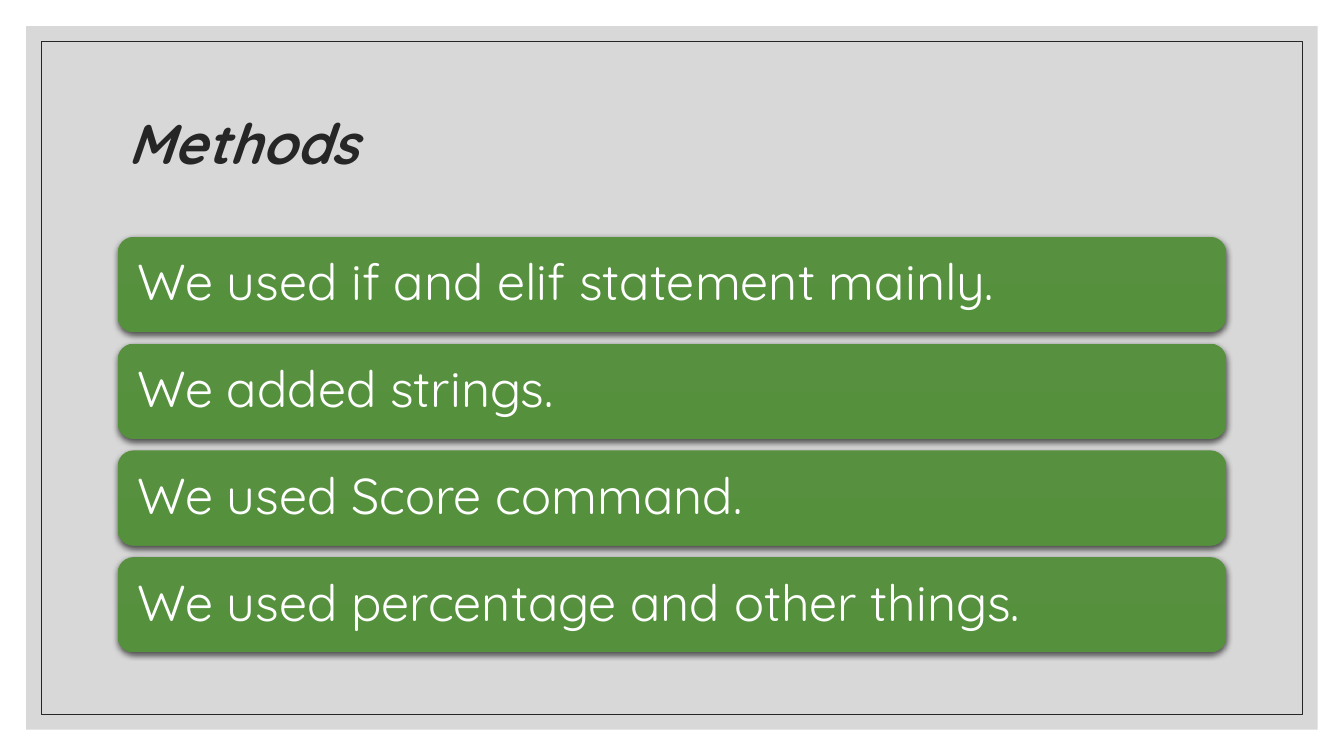
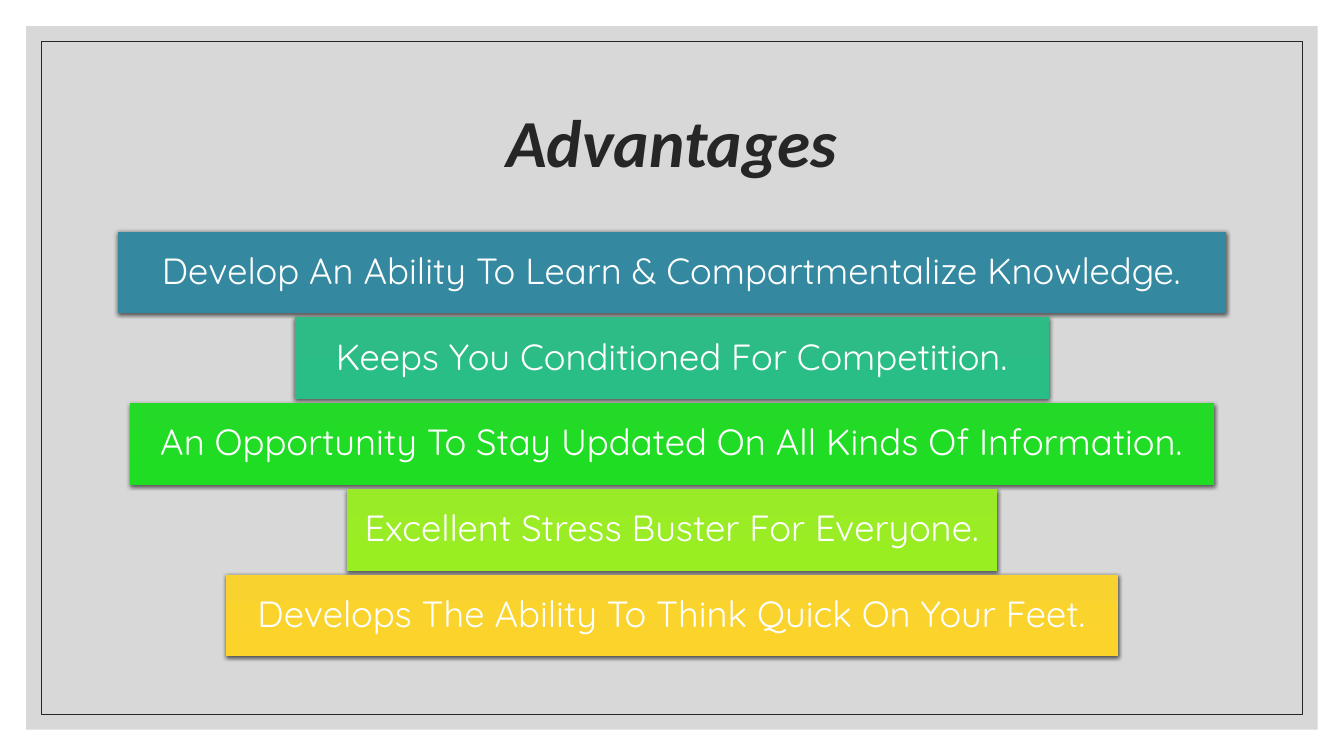
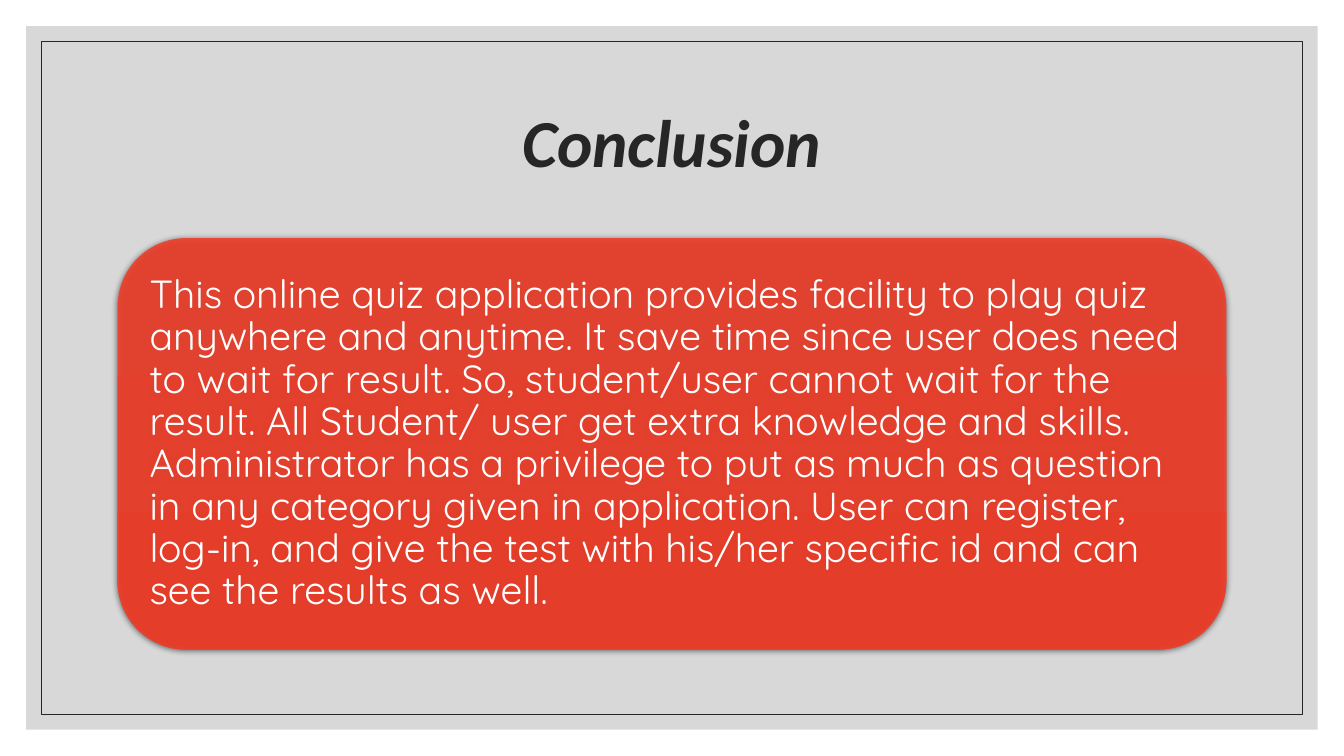
from lxml import etree
from pptx import Presentation
from pptx.dml.color import RGBColor
from pptx.enum.shapes import MSO_SHAPE as SHAPE
from pptx.enum.text import MSO_ANCHOR as ANCHOR, MSO_AUTO_SIZE as AUTO, PP_ALIGN as ALIGN
from pptx.oxml.ns import qn
from pptx.util import Cm, Pt

# Shared look
COLORS = {
    "panel": "BFBFBF", "ink": "262626", "white": "FFFFFF", "shadow": "000000",
    "green": ("57903F", "55913C"), "blue": ("3488A0", "3188A1"),
    "teal": ("2DBC85", "29BE85"), "bright": ("23DA26", "1EDD22"),
    "lime": ("9AEB27", "99EE22"), "yellow": ("F8D22F", "FBD32A"),
    "red": ("F03F2B", "F33B26"),
}
BODY_FONT, TITLE_FONT = "Quicksand", "Calibri"
SLIDE_W, SLIDE_H = 33.87, 19.05
CONTENT_W = 27.94

METHODS = [
    "We used if and elif statement mainly.",
    "We added strings.",
    "We used Score command.",
    "We used percentage and other things.",
]
ADVANTAGES = [
    ("Develop An Ability To Learn & Compartmentalize Knowledge.", CONTENT_W, "blue"),
    ("Keeps You Conditioned For Competition.", 19, "teal"),
    ("An Opportunity To Stay Updated On All Kinds Of Information.", 27.33, "bright"),
    ("Excellent Stress Buster For Everyone.", 16.38, "lime"),
    ("Develops The Ability To Think Quick On Your Feet.", 22.5, "yellow"),
]
CONCLUSION = (
    "This online quiz application provides facility to play quiz anywhere and anytime. "
    "It save time since user does need to wait for result. So, student/user cannot wait "
    "for the result. All Student/ user get extra knowledge and skills. Administrator has "
    "a privilege to put as much as question in any category given in application. User "
    "can register, log-in, and give the test with his/her specific id and can see the "
    "results as well."
)


def rgb(name):
    return RGBColor.from_string(COLORS[name])


def set_alpha(sp, percent):
    """Make every colour set so far on the shape partly transparent."""
    for clr in sp.element.spPr.iter(qn("a:srgbClr")):
        etree.SubElement(clr, qn("a:alpha"), val=str(percent * 1000))


def add_shadow(sp, blur, dist):
    effects = sp.element.spPr.find(qn("a:effectLst"))
    shadow = etree.SubElement(effects, qn("a:outerShdw"), blurRad=str(Pt(blur)),
                              dist=str(Pt(dist)), dir="5400000", algn="ctr", rotWithShape="0")
    clr = etree.SubElement(shadow, qn("a:srgbClr"), val=COLORS["shadow"])
    etree.SubElement(clr, qn("a:alpha"), val="63000")


def write(sp, text, size, font, color, align, bold=False, italic=False):
    tf = sp.text_frame
    tf.text = text
    tf.word_wrap = True
    tf.auto_size = AUTO.NONE
    tf.vertical_anchor = ANCHOR.MIDDLE
    p = tf.paragraphs[0]
    p.alignment = align
    p.line_spacing = 0.9
    f = p.runs[0].font
    f.size, f.name, f.bold, f.italic = Pt(size), font, bold, italic
    f.color.rgb = rgb(color)


def add_centred(slide, kind, top, width, height):
    """Add a shape centred across the slide."""
    sp = slide.shapes.add_shape(kind, Cm((SLIDE_W - width) / 2), Cm(top), Cm(width), Cm(height))
    sp.shadow.inherit = False
    return sp


def add_card(slide, kind, top, width, height, color, text, size, inset,
             align=ALIGN.LEFT, alpha=None, shadow=(4.5, 1.5)):
    sp = add_centred(slide, kind, top, width, height)
    sp.line.fill.background()
    sp.fill.gradient()
    sp.fill.gradient_angle = 270
    for stop, value in zip(sp.fill.gradient_stops, COLORS[color]):
        stop.color.rgb = RGBColor.from_string(value)
    if alpha:
        set_alpha(sp, alpha)
    add_shadow(sp, *shadow)
    tf = sp.text_frame
    tf.margin_left = tf.margin_right = tf.margin_top = tf.margin_bottom = Cm(inset)
    write(sp, text, size, BODY_FONT, "white", align)


def add_frame(slide, layout):
    """Draw the grey panel and its thin border, and move them to the layout."""
    def centred_rect(margin):
        return add_centred(slide, SHAPE.RECTANGLE, margin, SLIDE_W - 2 * margin,
                           SLIDE_H - 2 * margin)

    panel = centred_rect(0.66)
    panel.fill.solid()
    panel.fill.fore_color.rgb = rgb("panel")
    panel.line.fill.background()
    set_alpha(panel, 60)

    border = centred_rect(1.04)
    border.fill.background()
    border.line.color.rgb = rgb("ink")
    border.line.width = Pt(0.5)

    for i, sp in enumerate((panel, border)):
        layout.shapes.element.insert(2 + i, sp.element)


def add_slide(prs, layout, title, size=48, font=TITLE_FONT, align=ALIGN.CENTER):
    slide = prs.slides.add_slide(layout)
    sp = slide.shapes.title
    sp.left, sp.top, sp.width, sp.height = Cm(2.96), Cm(1.78), Cm(CONTENT_W), Cm(3.81)
    write(sp, title, size, font, "ink", align, bold=True, italic=True)
    return slide


def main():
    prs = Presentation()
    prs.slide_width, prs.slide_height = Cm(SLIDE_W), Cm(SLIDE_H)
    layout = prs.slide_layouts[5]

    # Methods: equal rows
    slide = add_slide(prs, layout, "Methods", 40, BODY_FONT, ALIGN.LEFT)
    add_frame(slide, layout)
    for i, text in enumerate(METHODS):
        add_card(slide, SHAPE.ROUNDED_RECTANGLE, 5.97 + i * 2.69, CONTENT_W, 2.4,
                 "green", text, 36, 0.38)

    # Advantages: centred bars of different widths
    slide = add_slide(prs, layout, "Advantages")
    for i, (text, width, color) in enumerate(ADVANTAGES):
        add_card(slide, SHAPE.RECTANGLE, 5.84 + i * 2.16, width, 2.06,
                 color, text, 26, 0.18, align=ALIGN.CENTER, shadow=(3, 1))

    # Conclusion: one large card
    slide = add_slide(prs, layout, "Conclusion")
    add_card(slide, SHAPE.ROUNDED_RECTANGLE, 6, CONTENT_W, 10.37,
             "red", CONCLUSION, 28, 0.3, alpha=90)

    prs.save("out.pptx")


if __name__ == "__main__":
    main()
